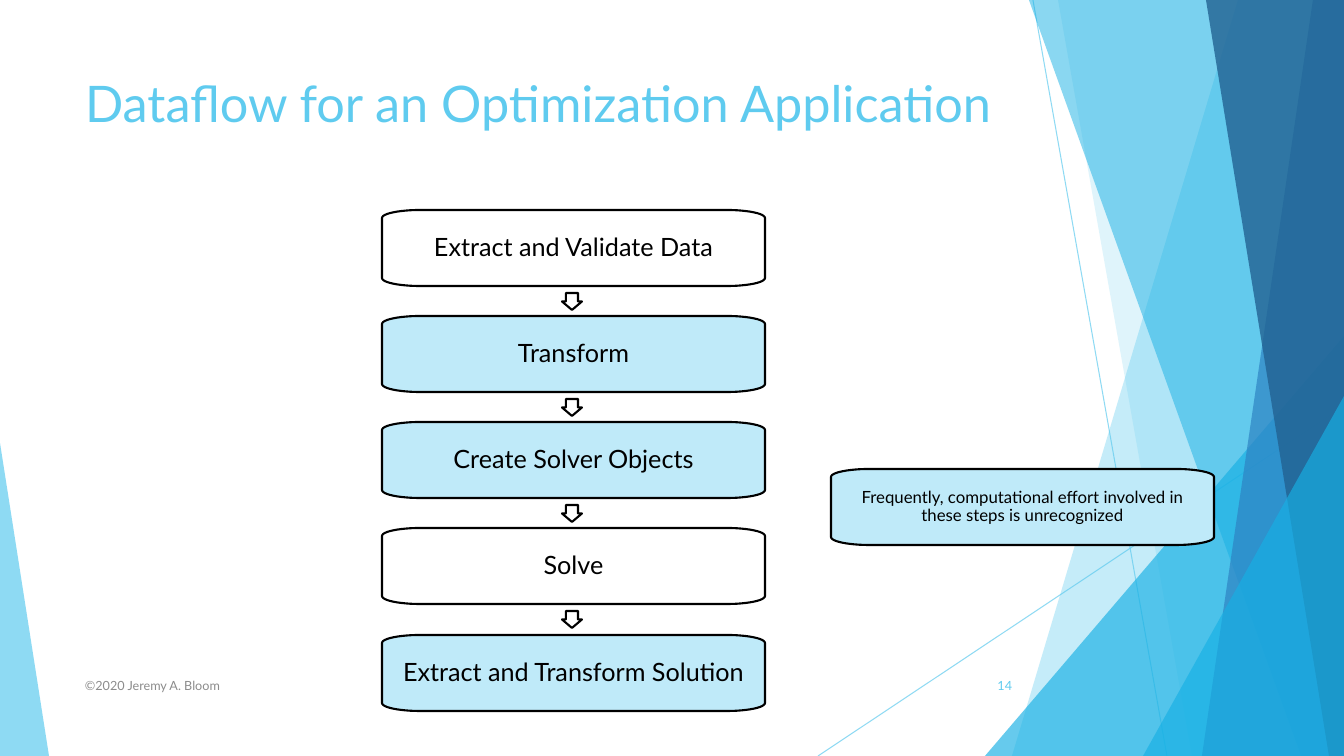
"""Build the slide on the dataflow of an optimization application."""
from math import cos, pi, sin

from lxml import etree
from pptx import Presentation
from pptx.dml.color import RGBColor
from pptx.enum.shapes import MSO_CONNECTOR, MSO_SHAPE
from pptx.enum.text import MSO_ANCHOR, MSO_AUTO_SIZE, PP_ALIGN
from pptx.oxml.ns import qn
from pptx.util import Pt

LINE = MSO_CONNECTOR.STRAIGHT
TRIANGLE, ARROW = MSO_SHAPE.ISOSCELES_TRIANGLE, MSO_SHAPE.DOWN_ARROW
TOP, MIDDLE = MSO_ANCHOR.TOP, MSO_ANCHOR.MIDDLE
LEFT, CENTER, RIGHT = PP_ALIGN.LEFT, PP_ALIGN.CENTER, PP_ALIGN.RIGHT
FIXED = MSO_AUTO_SIZE.NONE
SCALE = 914400 / 100.8
WIDE, HIGH = 1344, 756
BLACK, WHITE, SKY, PALE = "000000", "FFFFFF", "5FCBEF", "BFEAF9"
AZURE, BLUE, NAVY, GRAY = "17B0E4", "2E83C3", "226292", "8C8C8C"


def paint(fmt, color, alpha=100):
    fmt.solid()
    fmt.fore_color.rgb = RGBColor.from_string(color)
    if alpha < 100:
        for node in fmt._xPr.iter(qn("a:srgbClr")):
            etree.SubElement(node, qn("a:alpha")).set("val", str(alpha * 1000))


def write(shape, text, size, color, align, anchor):
    frame = shape.text_frame
    frame.text = text
    frame.word_wrap = True
    frame.auto_size = FIXED
    frame.vertical_anchor = anchor
    para = frame.paragraphs[0]
    para.alignment = align
    font = para.runs[0].font
    font.name, font.size = "Lato", Pt(size)
    paint(font.fill, color)


deck = Presentation()
deck.slide_width, deck.slide_height = round(WIDE * SCALE), round(HIGH * SCALE)
slide = deck.slides.add_slide(deck.slide_layouts[5])
shapes = slide.shapes

for ends in [(1033, 0, 1167, HIGH), (WIDE, 406, 818, HIGH)]:
    ray = shapes.add_connector(LINE, *[round(n * SCALE) for n in ends])
    ray.line.width = Pt(0.75)
    paint(ray.line.fill, SKY, 70)
    etree.SubElement(ray._element.spPr, qn("a:effectLst"))

panels = [
    ("band", (1238, 1012), SKY, 36),
    ("band", (1058, 1192), SKY, 20),
    ("wedge", (985, 336, 359, 1), AZURE, 66),
    ("band", (1029, 1301), AZURE, 50),
    ("band", (1313, 1202), BLUE, 70),
    ("band", (1206, 1329), NAVY, 80),
    ("wedge", (1143, 396, 201, 1), AZURE, 66),
    ("wedge", (0, 443, 49, 0), SKY, 70),
]
for kind, place, color, alpha in panels:
    if kind == "band":
        head, foot = place
        pen = shapes.build_freeform(head * SCALE, 0)
        edge = [(WIDE, 0), (WIDE, HIGH), (foot, HIGH)]
        pen.add_line_segments([(x * SCALE, y * SCALE) for x, y in edge])
        panel = pen.convert_to_shape()
    else:
        left, top, width, tip = place
        area = (left, top, width, HIGH - top)
        panel = shapes.add_shape(TRIANGLE, *[round(n * SCALE) for n in area])
        panel.adjustments[0] = tip
    paint(panel.fill, color, alpha)
    panel.line.fill.background()
    panel.shadow.inherit = False

steps = [
    ("Extract and Validate Data", WHITE),
    ("Transform", PALE),
    ("Create Solver Objects", PALE),
    ("Solve", WHITE),
    ("Extract and Transform Solution", PALE),
]
tops = [210 + 425 * i // 4 for i in range(len(steps))]
boxes = [(382, top, text, 18, fill) for top, (text, fill) in zip(tops, steps)]
note = "Frequently, computational effort involved in these steps is unrecognized"
boxes.append((831, 469, note, 12, PALE))

box_wide, box_high, bend_x, bend_y = 383, 76, 38, 8
corners = [(box_wide - bend_x, box_high - bend_y), (bend_x, box_high - bend_y),
           (bend_x, bend_y), (box_wide - bend_x, bend_y)]
turns = [(x + bend_x * cos(angle), y + bend_y * sin(angle))
         for turn, (x, y) in enumerate(corners)
         for angle in [(turn + i / 12) * pi / 2 for i in range(13)]]
for left, top, text, size, fill in boxes:
    spots = [((left + x) * SCALE, (top + y) * SCALE) for x, y in turns]
    pen = shapes.build_freeform(*spots[0])
    pen.add_line_segments(spots[1:])
    box = pen.convert_to_shape()
    paint(box.fill, fill)
    paint(box.line.fill, BLACK)
    box.line.width = Pt(1.5)
    box.shadow.inherit = False
    write(box, text, size, BLACK, CENTER, MIDDLE)
    frame = box.text_frame
    frame.margin_left = frame.margin_right = round(11 * SCALE)
    frame.margin_top = frame.margin_bottom = round(11 * SCALE)
    frame.paragraphs[0].line_spacing = 0.9

for top in tops[:-1]:
    area = (562, top + 83, 20, 17)
    arrow = shapes.add_shape(ARROW, *[round(n * SCALE) for n in area])
    arrow.adjustments[0], arrow.adjustments[1] = 0.6, 0.5
    paint(arrow.fill, WHITE)
    paint(arrow.line.fill, BLACK)
    arrow.line.width = Pt(1.5)
    arrow.shadow.inherit = False

title = shapes.title
title.left, title.top = round(75 * SCALE), round(67 * SCALE)
title.width, title.height = round(975 * SCALE), round(145 * SCALE)
write(title, "Dataflow for an Optimization Application", 36, SKY, LEFT, TOP)

for left, width, text, color, align in [
    (75, 694, "©2020 Jeremy A. Bloom", GRAY, LEFT),
    (947, 75, "14", SKY, RIGHT),
]:
    area = (left, 666, width, 40)
    label = shapes.add_textbox(*[round(n * SCALE) for n in area])
    write(label, text, 9, color, align, MIDDLE)

deck.save("out.pptx")
